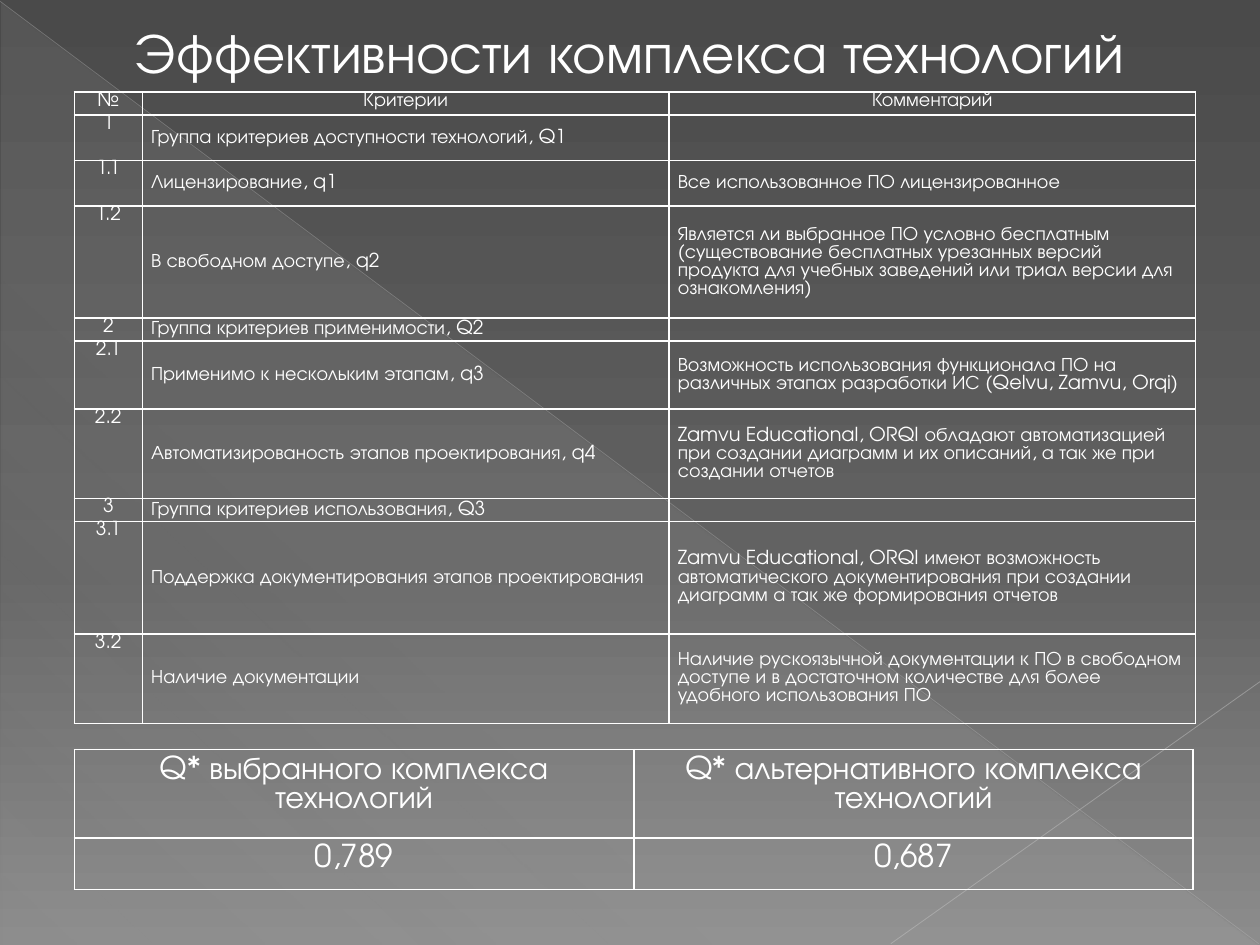
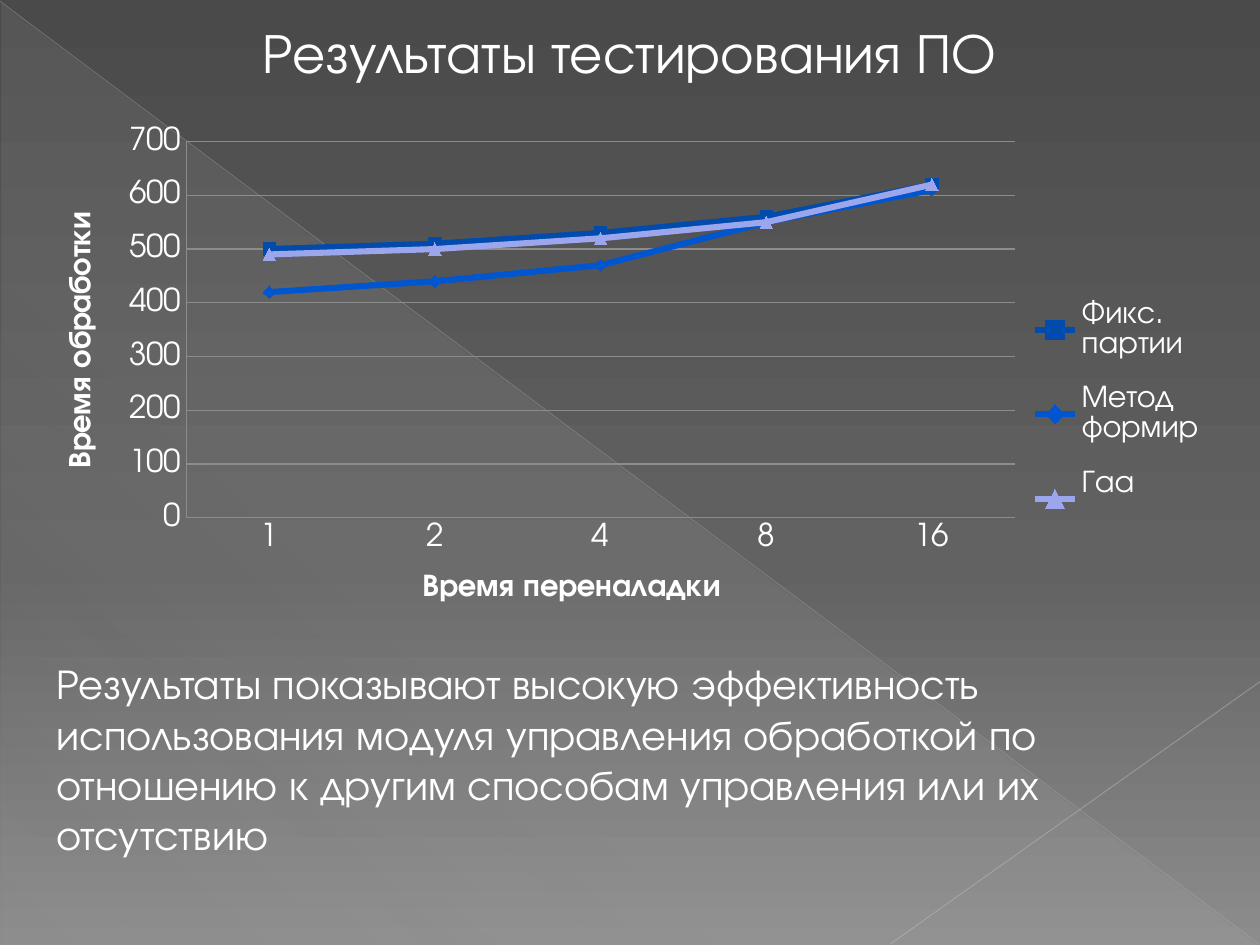
"""Two slides: the effectiveness of a technology set and the software test results."""
from dataclasses import dataclass

import lxml.etree
import pptx
import pptx.chart.data
import pptx.dml.color
import pptx.enum.chart
import pptx.enum.shapes
import pptx.enum.text
import pptx.oxml.ns
import pptx.util

Inches = pptx.util.Inches
Pt = pptx.util.Pt
qn = pptx.oxml.ns.qn
ALIGN = pptx.enum.text.PP_ALIGN
ANCHOR = pptx.enum.text.MSO_ANCHOR
MARKER = pptx.enum.chart.XL_MARKER_STYLE


@dataclass(frozen=True)
class Theme:
    """Colours, font and type sizes of the whole presentation."""
    font: str = "TeX Gyre Adventor"
    text: str = "FFFFFF"
    grid: str = "8C8C8C"
    # Gradient stops: position, colour and opacity in percent.
    background: tuple = ((0, "4A4A4A", 100), (60, "626262", 100), (100, "8C8C8C", 100))
    triangle: tuple = ((0, "D2D2D2", 10), (70, "D2D2D2", 8), (100, "D2D2D2", 1))
    title_size: int = 32
    body_size: int = 24
    large_size: int = 18
    small_size: int = 11


@dataclass(frozen=True)
class Box:
    """A place on the slide, in inches."""
    left: float
    top: float
    width: float
    height: float

    def lengths(self) -> tuple:
        """Return the four values as lengths."""
        return tuple(Inches(v) for v in (self.left, self.top, self.width, self.height))


@dataclass(frozen=True)
class Diagonal:
    """A thin translucent line of the backdrop."""
    start: tuple
    end: tuple
    color: str
    width: float
    opacity: int


@dataclass(frozen=True)
class TableStyle:
    """How the cells of one table are set."""
    size: int
    side_inset: float
    top_inset: float
    centred_columns: tuple


@dataclass(frozen=True)
class Series:
    """One line of the chart."""
    name: str
    values: tuple
    color: str
    marker: object
    marker_size: int


THEME = Theme()
DIAGONALS = (
    Diagonal((0, 0.01), (9.99, 7.49), "BFBFBF", 0.39, 35),
    Diagonal((10, 5.41), (7.07, 7.49), "C6C6C6", 0.47, 45),
)
CRITERIA_STYLE = TableStyle(THEME.small_size, 0.07, 0, (0,))
SCORE_STYLE = TableStyle(THEME.large_size, 0.1, 0.05, (0, 1))
CRITERIA_HEIGHTS = (0.18, 0.36, 0.36, 0.89, 0.18, 0.54, 0.71, 0.18, 0.89, 0.71)
CRITERIA = (
    ("№", "Критерии", "Комментарий"),
    ("1", "Группа критериев доступности технологий, Q1", ""),
    ("1.1", "Лицензирование, q1", "Все использованное ПО лицензированное"),
    ("1.2", "В свободном доступе, q2",
     "Является ли выбранное ПО условно бесплатным (существование бесплатных урезанных "
     "версий продукта для учебных заведений или триал версии для ознакомления)"),
    ("2", "Группа критериев применимости, Q2", ""),
    ("2.1", "Применимо к нескольким этапам, q3",
     "Возможность использования функционала ПО на различных этапах разработки ИС "
     "(Qelvu, Zamvu, Orqi)"),
    ("2.2", "Автоматизированость этапов проектирования, q4",
     "Zamvu Educational, ORQI обладают автоматизацией при создании диаграмм и их "
     "описаний, а так же при создании отчетов"),
    ("3", "Группа критериев использования, Q3", ""),
    ("3.1", "Поддержка документирования этапов проектирования",
     "Zamvu Educational, ORQI имеют возможность автоматического документирования при "
     "создании диаграмм а так же формирования отчетов"),
    ("3.2", "Наличие документации",
     "Наличие рускоязычной документации к ПО в свободном доступе и в достаточном "
     "количестве для более удобного использования ПО"),
)
SCORES = (
    ("Q* выбранного комплекса технологий", "Q* альтернативного комплекса технологий"),
    ("0,789", "0,687"),
)
SETUP_TIMES = ("1", "2", "4", "8", "16")
SERIES = (
    Series("Фикс. партии", (500, 510, 530, 560, 620), "004BAC", MARKER.SQUARE, 7),
    Series("Метод формир", (420, 440, 470, 550, 610), "0056D0", MARKER.DIAMOND, 7),
    Series("Гаа", (490, 500, 520, 550, 620), "9CA6EC", MARKER.TRIANGLE, 7),
)
CONCLUSION = ("Результаты показывают высокую эффективность использования модуля управления "
              "обработкой по отношению к другим способам управления или их отсутствию")


def rgb(color: str):
    """Turn a hex string into a colour."""
    return pptx.dml.color.RGBColor.from_string(color)


def add_opacity(color_element, opacity: int) -> None:
    """Give a colour element an opacity in percent."""
    alpha = lxml.etree.SubElement(color_element, qn("a:alpha"))
    alpha.set("val", str(opacity * 1000))


def make_gradient(parent, stops: tuple, angle: int) -> None:
    """Replace the solid fill found under parent by a linear gradient."""
    solid = next(parent.iter(qn("a:solidFill")))
    gradient = lxml.etree.Element(qn("a:gradFill"), rotWithShape="1")
    stop_list = lxml.etree.SubElement(gradient, qn("a:gsLst"))
    for position, color, opacity in stops:
        stop = lxml.etree.SubElement(stop_list, qn("a:gs"), pos=str(position * 1000))
        add_opacity(lxml.etree.SubElement(stop, qn("a:srgbClr"), val=color), opacity)
    lxml.etree.SubElement(gradient, qn("a:lin"), ang=str(angle * 60000), scaled="0")
    solid.getparent().replace(solid, gradient)


def format_font(font, size: int, bold: bool = False) -> None:
    """Set the theme font and text colour at the given size."""
    font.name, font.size, font.bold = THEME.font, Pt(size), bold
    font.color.rgb = rgb(THEME.text)


def set_text(text_frame, text: str, size: int, alignment) -> None:
    """Write one formatted paragraph."""
    text_frame.text = text
    paragraph = text_frame.paragraphs[0]
    paragraph.alignment = alignment
    for run in paragraph.runs:
        format_font(run.font, size)
    if not text:
        paragraph._p.get_or_add_endParaRPr().set("sz", str(size * 100))


def add_text(slide, box: Box, text: str, size: int, alignment) -> None:
    """Add a wrapping text box."""
    text_frame = slide.shapes.add_textbox(*box.lengths()).text_frame
    text_frame.word_wrap = True
    set_text(text_frame, text, size, alignment)


def add_diagonal(slide, diagonal: Diagonal) -> None:
    """Draw one translucent line of the backdrop."""
    connector = slide.shapes.add_connector(
        pptx.enum.shapes.MSO_CONNECTOR.STRAIGHT,
        *(Inches(value) for value in diagonal.start + diagonal.end))
    connector.line.width = Pt(diagonal.width)
    connector.line.color.rgb = rgb(diagonal.color)
    properties = connector._element.spPr
    add_opacity(next(properties.iter(qn("a:srgbClr"))), diagonal.opacity)
    lxml.etree.SubElement(properties, qn("a:effectLst"))


def add_base_slide(presentation, title: str):
    """Add a blank slide with the shared backdrop and title."""
    slide = presentation.slides.add_slide(presentation.slide_layouts[6])
    slide.background.fill.solid()
    slide.background.fill.fore_color.rgb = rgb(THEME.background[0][1])
    make_gradient(slide._element, THEME.background, 90)
    triangle = slide.shapes.add_shape(
        pptx.enum.shapes.MSO_SHAPE.RIGHT_TRIANGLE, *Box(0.01, 0.02, 9.98, 7.48).lengths())
    triangle.shadow.inherit = False
    triangle.fill.solid()
    triangle.fill.fore_color.rgb = rgb(THEME.triangle[0][1])
    make_gradient(triangle._element.spPr, THEME.triangle, 133)
    triangle.line.fill.background()
    for diagonal in DIAGONALS:
        add_diagonal(slide, diagonal)
    add_text(slide, Box(0, 0.09, 10, 0.64), title, THEME.title_size, ALIGN.CENTER)
    return slide


def add_borders(cell) -> None:
    """Draw a one point line on all sides of a cell."""
    properties = cell._tc.get_or_add_tcPr()
    for side in ("lnL", "lnR", "lnT", "lnB"):
        line = lxml.etree.SubElement(properties, qn("a:" + side), w=str(Pt(1)))
        fill = lxml.etree.SubElement(line, qn("a:solidFill"))
        lxml.etree.SubElement(fill, qn("a:srgbClr"), val=THEME.text)


def add_table(slide, left: float, top: float, widths: tuple, heights: tuple,
              rows: tuple, style: TableStyle) -> None:
    """Add an unfilled, bordered table."""
    box = Box(left, top, sum(widths), sum(heights))
    table = slide.shapes.add_table(len(rows), len(widths), *box.lengths()).table
    table.first_row = table.horz_banding = False
    for column, width in zip(table.columns, widths):
        column.width = Inches(width)
    for row, height in zip(table.rows, heights):
        row.height = Inches(height)
    for row_index, texts in enumerate(rows):
        for column_index, text in enumerate(texts):
            cell = table.cell(row_index, column_index)
            centred = row_index == 0 or column_index in style.centred_columns
            cell.margin_left = cell.margin_right = Inches(style.side_inset)
            cell.margin_top = cell.margin_bottom = Inches(style.top_inset)
            cell.vertical_anchor = ANCHOR.TOP if centred else ANCHOR.MIDDLE
            add_borders(cell)
            cell.fill.background()
            set_text(cell.text_frame, text, style.size, ALIGN.CENTER if centred else ALIGN.LEFT)


def place_in_chart(element, after: str, box: Box, inner: bool = False) -> None:
    """Fix a chart part at fractions of the chart area."""
    for old in element.findall(qn("c:layout")):
        element.remove(old)
    layout = lxml.etree.Element(qn("c:layout"))
    manual = lxml.etree.SubElement(layout, qn("c:manualLayout"))
    settings = [("layoutTarget", "inner")] if inner else []
    settings += [("xMode", "edge"), ("yMode", "edge"), ("x", box.left), ("y", box.top),
                 ("w", box.width), ("h", box.height)]
    for tag, value in settings:
        lxml.etree.SubElement(manual, qn("c:" + tag), val=str(value))
    previous = element.find(qn(after)) if after else None
    element.insert(0 if previous is None else element.index(previous) + 1, layout)


def format_axis(axis, title: str) -> None:
    """Title an axis and give it a thin grey line without ticks."""
    axis.has_title = True
    axis.axis_title.text_frame.text = title
    format_font(axis.axis_title.text_frame.paragraphs[0].runs[0].font, THEME.large_size, True)
    axis.major_tick_mark = axis.minor_tick_mark = pptx.enum.chart.XL_TICK_MARK.NONE
    axis.format.line.color.rgb = rgb(THEME.grid)
    format_font(axis.tick_labels.font, THEME.large_size)


def add_line_chart(slide, box: Box) -> None:
    """Add the chart of processing time against setup time."""
    data = pptx.chart.data.CategoryChartData()
    data.categories = SETUP_TIMES
    for series in SERIES:
        data.add_series(series.name, series.values)
    chart = slide.shapes.add_chart(
        pptx.enum.chart.XL_CHART_TYPE.LINE_MARKERS, *box.lengths(), data).chart
    format_font(chart.font, THEME.large_size)
    chart.has_title = False
    chart.has_legend = True
    chart.legend.position = pptx.enum.chart.XL_LEGEND_POSITION.RIGHT
    chart.legend.include_in_layout = False
    format_font(chart.legend.font, THEME.large_size)
    format_axis(chart.category_axis, "Время переналадки")
    format_axis(chart.value_axis, "Время обработки")
    chart.value_axis.minimum_scale, chart.value_axis.maximum_scale = 0, 700
    chart.value_axis.major_unit = 100
    chart.value_axis.has_major_gridlines = True
    chart.value_axis.major_gridlines.format.line.color.rgb = rgb(THEME.grid)
    plot = chart.plots[0]
    plot.vary_by_categories = False
    for line, series in zip(plot.series, SERIES):
        line.smooth = False
        line.format.line.width = Pt(3.5)
        line.format.line.color.rgb = rgb(series.color)
        line.marker.style, line.marker.size = series.marker, series.marker_size
        line.marker.format.fill.solid()
        line.marker.format.fill.fore_color.rgb = rgb(series.color)
        line.marker.format.line.color.rgb = rgb(series.color)
    plot_area = chart._chartSpace.chart.plotArea
    place_in_chart(plot_area, "", Box(0.13, 0.05, 0.69, 0.73), inner=True)
    place_in_chart(chart.legend._element, "c:legendPos", Box(0.82, 0.31, 0.17, 0.48))


def main() -> None:
    """Build and save the presentation."""
    presentation = pptx.Presentation()
    presentation.slide_width, presentation.slide_height = Inches(10), Inches(7.5)

    slide = add_base_slide(presentation, "Эффективности комплекса технологий")
    add_table(slide, 0.59, 5.95, (4.44, 4.44), (0.7, 0.41), SCORES, SCORE_STYLE)
    add_table(slide, 0.59, 0.73, (0.54, 4.18, 4.18), CRITERIA_HEIGHTS, CRITERIA, CRITERIA_STYLE)

    slide = add_base_slide(presentation, "Результаты тестирования ПО")
    add_line_chart(slide, Box(0.24, 0.92, 9.53, 4.09))
    add_text(slide, Box(0.35, 5.17, 9.21, 1.72), CONCLUSION, THEME.body_size, ALIGN.LEFT)
    presentation.save("out.pptx")


main()
